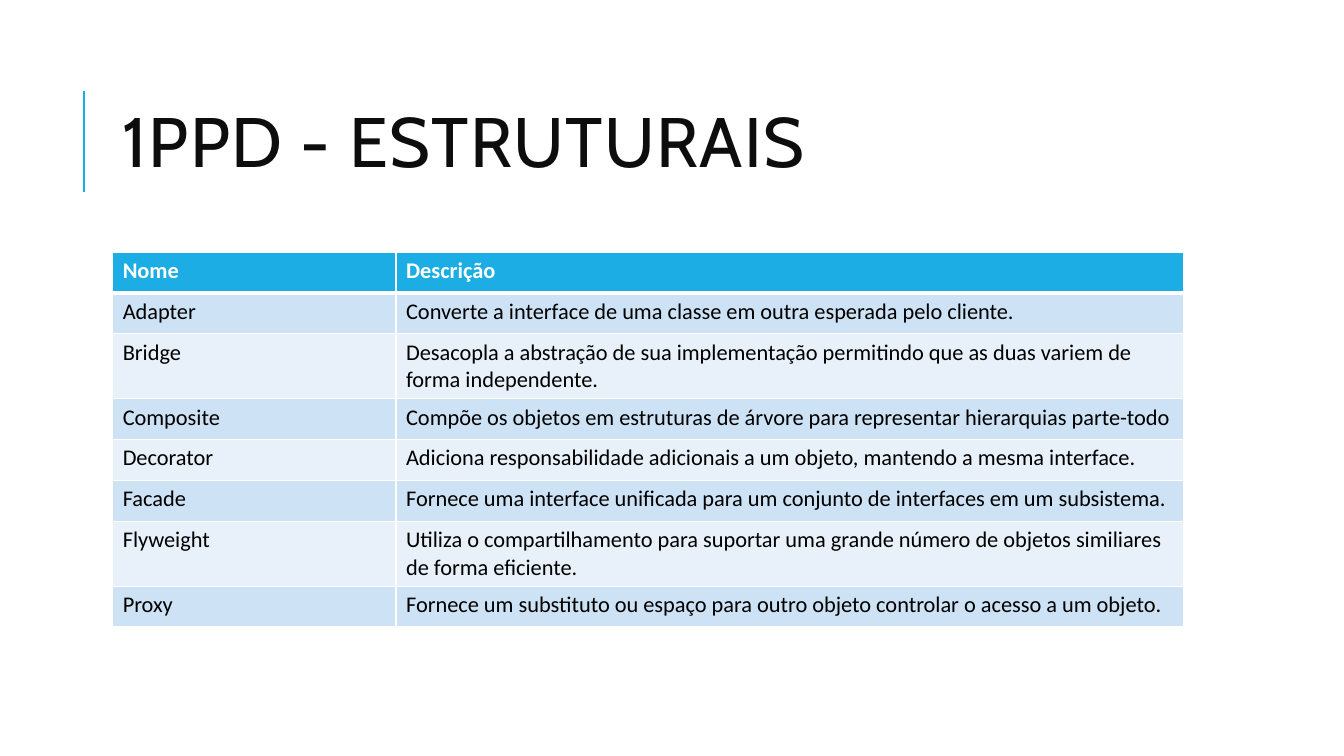
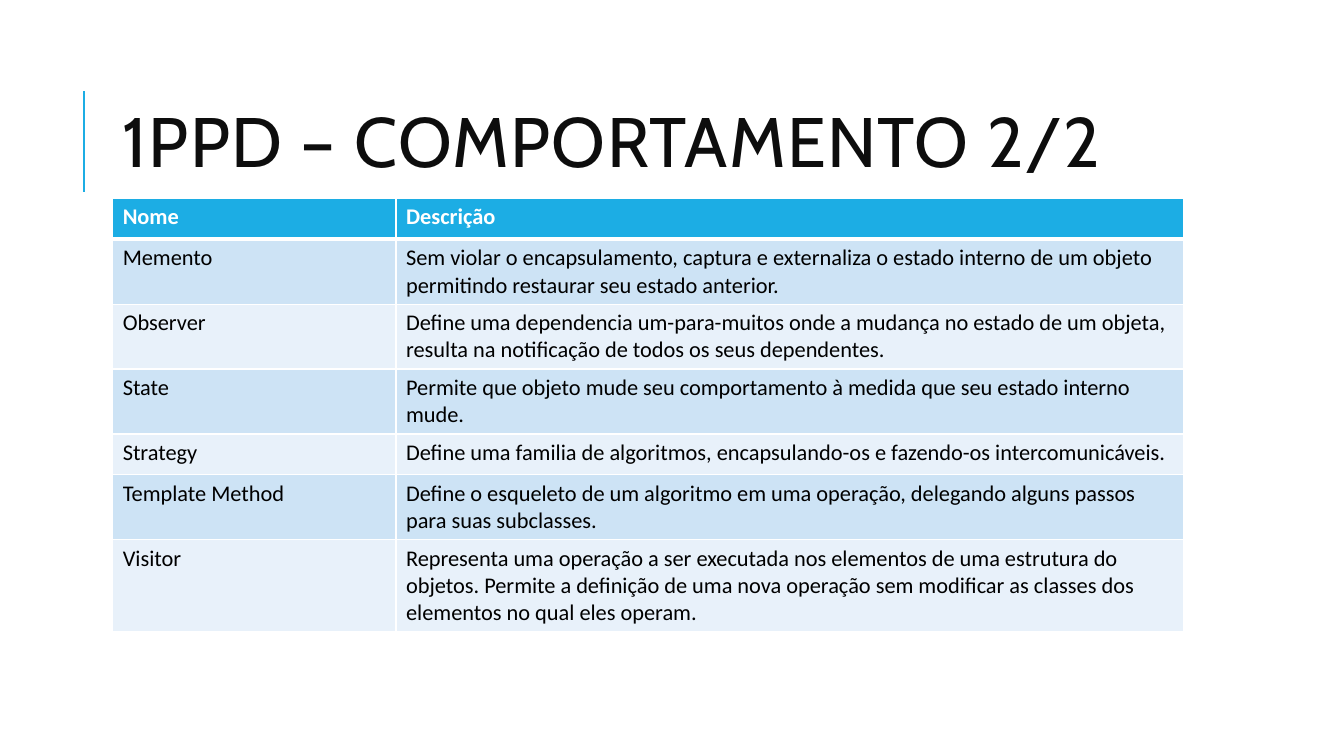
from lxml import etree
from pptx import Presentation
from pptx import util as u
from pptx.dml.color import RGBColor
from pptx.enum import shapes, text
from pptx.oxml.ns import qn

ACCENT, WHITE, BLACK, TITLE = "1CADE4", "FFFFFF", "000000", "0D0D0D"
BANDS = ("CDE3F5", "E8F1FA")
LEFT, WIDTHS, ROW_HEIGHT = 2.84, (7.14, 19.86), 1.03
HEADER = ("Nome", "Descrição")

SLIDES = [
    {
        "title": "1PPD - ESTRUTURAIS",
        "top": 6.35,
        "rows": [
            ("Adapter", "Converte a interface de uma classe em outra esperada pelo cliente."),
            ("Bridge", "Desacopla a abstração de sua implementação permitindo que as duas "
                       "variem de forma independente."),
            ("Composite", "Compõe os objetos em estruturas de árvore para representar "
                          "hierarquias parte-todo"),
            ("Decorator", "Adiciona responsabilidade adicionais a um objeto, mantendo a "
                          "mesma interface."),
            ("Facade", "Fornece uma interface unificada para um conjunto de interfaces em "
                       "um subsistema."),
            ("Flyweight", "Utiliza o compartilhamento para suportar uma grande número de "
                          "objetos similiares de forma eficiente."),
            ("Proxy", "Fornece um substituto ou espaço para outro objeto controlar o acesso "
                      "a um objeto."),
        ],
    },
    {
        "title": "1PPD – COMPORTAMENTO 2/2",
        "top": 5,
        "rows": [
            ("Memento", "Sem violar o encapsulamento, captura e externaliza o estado interno "
                        "de um objeto permitindo restaurar seu estado anterior."),
            ("Observer", "Define uma dependencia um-para-muitos onde a mudança no estado de um "
                         "objeta, resulta na notificação de todos os seus dependentes."),
            ("State", "Permite que objeto mude seu comportamento à medida que seu estado "
                      "interno mude."),
            ("Strategy", "Define uma familia de algoritmos, encapsulando-os e fazendo-os "
                         "intercomunicáveis."),
            ("Template Method", "Define o esqueleto de um algoritmo em uma operação, delegando "
                                "alguns passos para suas subclasses."),
            ("Visitor", "Representa uma operação a ser executada nos elementos de uma estrutura "
                        "do objetos. Permite a definição de uma nova operação sem modificar as "
                        "classes dos elementos no qual eles operam."),
        ],
    },
]


def rgb(color):
    return RGBColor.from_string(color)


def style_run(r, font, size, color, bold=False):
    r.font.name, r.font.size, r.font.bold = font, u.Pt(size), bold
    r.font.color.rgb = rgb(color)


def add_title(s, title):
    sp = s.shapes.title
    sp.left, sp.top, sp.width, sp.height = (
        u.Cm(LEFT), u.Cm(1.63), u.Cm(sum(WIDTHS)), u.Cm(4.17))
    tf = sp.text_frame
    tf.text = title
    tf.word_wrap = True
    tf.auto_size = text.MSO_AUTO_SIZE.NONE
    tf.vertical_anchor = text.MSO_ANCHOR.MIDDLE
    p = tf.paragraphs[0]
    p.alignment = text.PP_ALIGN.LEFT
    p.line_spacing = 0.8
    r = p.runs[0]
    style_run(r, "Cabin", 50, TITLE)
    r.font._element.set("spc", "100")


def add_title_bar(s):
    bar = s.shapes.add_connector(shapes.MSO_CONNECTOR.STRAIGHT,
                                 u.Cm(2.11), u.Cm(4.83), u.Cm(2.11), u.Cm(2.29))
    bar.line.color.rgb = rgb(ACCENT)
    bar.line.width = u.Pt(1.5)
    etree.SubElement(bar._element.spPr, qn("a:effectLst"))


def set_borders(cell, top, bottom):
    tcPr = cell._tc.get_or_add_tcPr()
    for side, width in (("L", 1), ("R", 1), ("T", top), ("B", bottom)):
        ln = etree.SubElement(tcPr, qn("a:ln" + side), w=str(u.Pt(width)))
        fill = etree.SubElement(ln, qn("a:solidFill"))
        etree.SubElement(fill, qn("a:srgbClr"), val=WHITE)


def add_pattern_table(s, top, rows):
    rows = [HEADER] + rows
    table = s.shapes.add_table(
        len(rows), len(WIDTHS), u.Cm(LEFT), u.Cm(top),
        u.Cm(sum(WIDTHS)), u.Cm(ROW_HEIGHT * len(rows))).table
    for column, width in zip(table.columns, WIDTHS):
        column.width = u.Cm(width)
    for i, row in enumerate(rows):
        table.rows[i].height = u.Cm(ROW_HEIGHT)
        header = i == 0
        for j, value in enumerate(row):
            cell = table.cell(i, j)
            set_borders(cell, 3 if i == 1 else 1, 3 if header else 1)
            cell.fill.solid()
            cell.fill.fore_color.rgb = rgb(ACCENT if header else BANDS[(i - 1) % 2])
            cell.text_frame.text = value
            style_run(cell.text_frame.paragraphs[0].runs[0], "Calibri", 16,
                      WHITE if header else BLACK, header)


def main():
    prs = Presentation()
    prs.slide_width, prs.slide_height = u.Cm(33.87), u.Cm(19.05)
    for content in SLIDES:
        s = prs.slides.add_slide(prs.slide_layouts[5])
        add_title_bar(s)
        add_title(s, content["title"])
        add_pattern_table(s, content["top"], content["rows"])
    prs.save("out.pptx")


if __name__ == "__main__":
    main()
